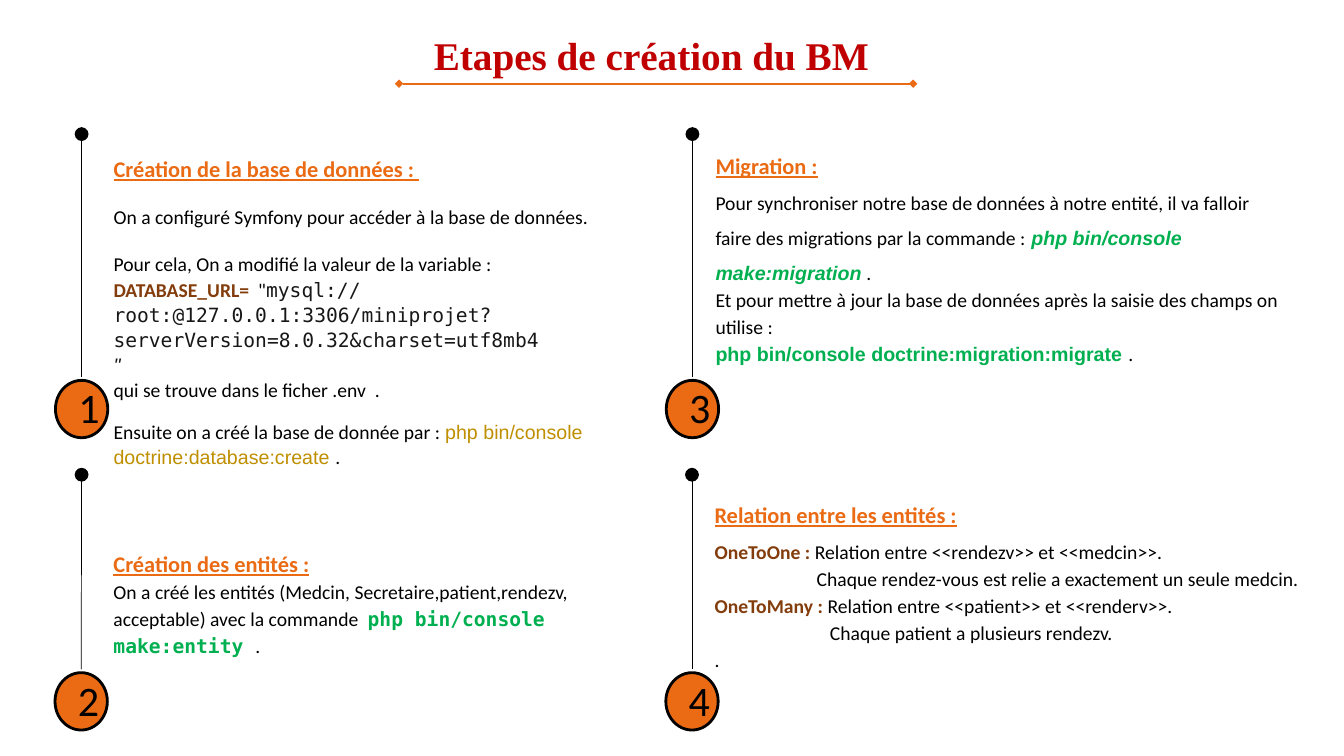
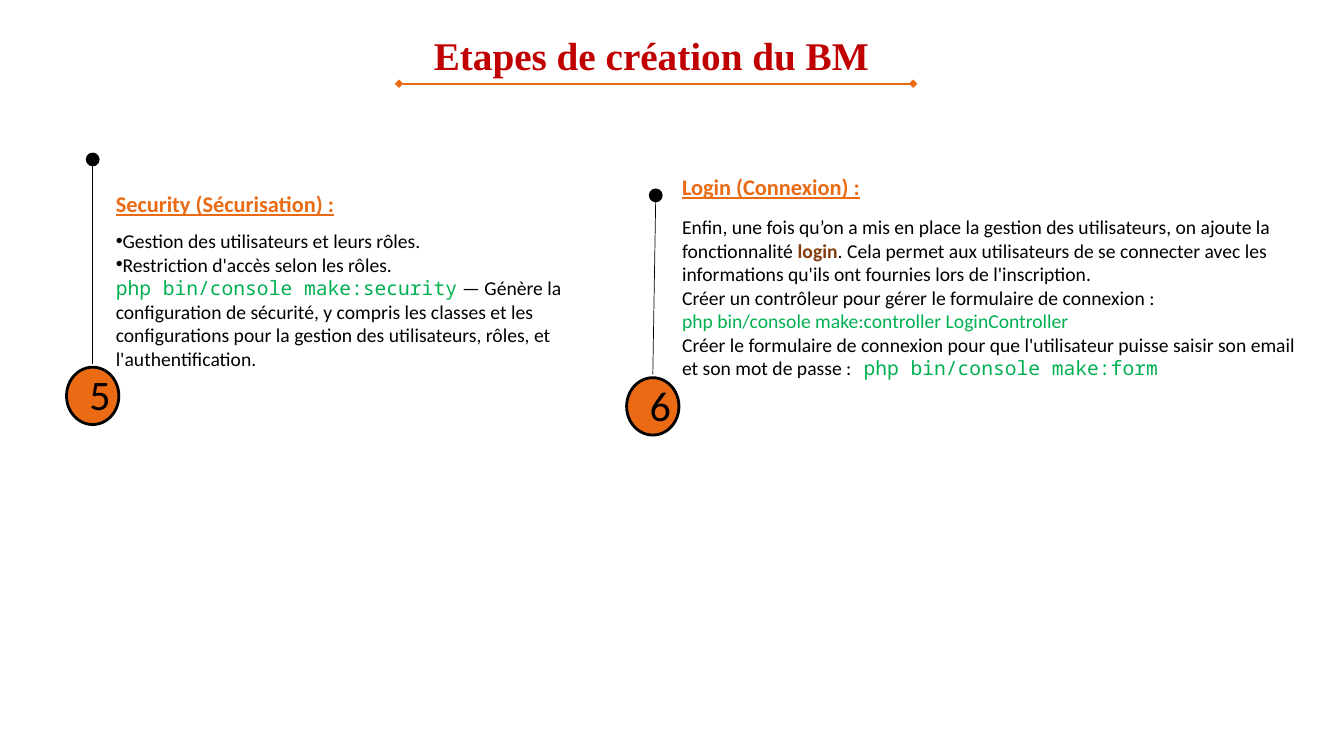
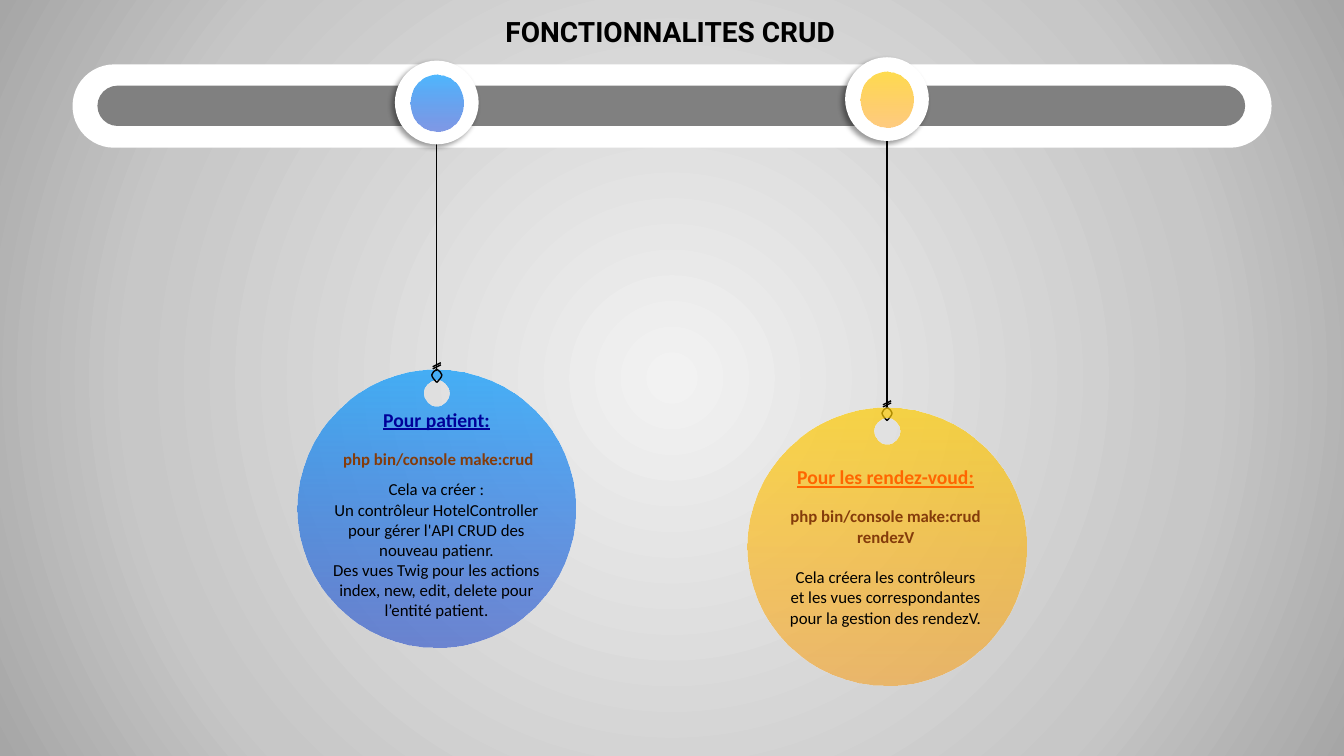
import lxml.etree
import pptx
import pptx.dml.color
import pptx.enum.shapes
import pptx.enum.text
import pptx.oxml.ns
import pptx.util

Pt = pptx.util.Pt
qn = pptx.oxml.ns.qn
SHAPE = pptx.enum.shapes.MSO_SHAPE
CENTER = pptx.enum.text.PP_ALIGN.CENTER

NBSP = chr(160)
ORANGE, BLACK, WHITE = "EA6B14", "000000", "FFFFFF"
BROWN, GREEN, GOLD = "833C0B", "00B050", "BF8F00"
BLUE_FADE = [(0, "0099FF", 70), (100, "0033CC", 50)]
YELLOW_FADE = [(0, "FFCC00", 70), (100, "FF9900", 50)]
GREY_FADE = [(0, "F2F2F2", 100), (70, "C7C7C7", 100), (100, "A6A6A6", 100)]


def style(size, color=BLACK, font="Calibri", bold=False, italic=False, underline=False):
    return dict(size=size, color=color, font=font, bold=bold, italic=italic, underline=underline)


HEADING = style(16, ORANGE, bold=True, underline=True)
BODY = style(14)
KEYWORD = style(14, BROWN, bold=True)
COMMAND = style(14, GREEN, "Arial", bold=True)
CODE = style(14, GREEN, "Noto Sans Mono")
NUMBER = style(30)
TAG_BODY = style(12)
TAG_COMMAND = style(12, "843C0B", bold=True)


def para(*runs, spacing=1.0, before=0, indent=0, bullet=None, align=None):
    return dict(runs=runs, spacing=spacing, before=before, indent=indent, bullet=bullet, align=align)


def heading(text, spacing=1.5):
    return para((f"{text}{NBSP}:", HEADING), spacing=spacing)


def centered(text, look, before=0):
    return para((text, look), before=before, align=CENTER)


def rgb(hex_color):
    return pptx.dml.color.RGBColor.from_string(hex_color)


def child(parent, tag, **attributes):
    return lxml.etree.SubElement(parent, qn(tag), {k: str(v) for k, v in attributes.items()})


def add_color(parent, hex_color, alpha):
    child(child(parent, "a:srgbClr", val=hex_color), "a:alpha", val=alpha * 1000)


def add_text(slide, left, top, width, height, paragraphs):
    frame = slide.shapes.add_textbox(Pt(left), Pt(top), Pt(width), Pt(height)).text_frame
    frame.word_wrap = True
    for index, content in enumerate(paragraphs):
        paragraph = frame.add_paragraph() if index else frame.paragraphs[0]
        paragraph.line_spacing = content["spacing"]
        paragraph.space_before = Pt(content["before"])
        paragraph.alignment = content["align"]
        properties = paragraph._p.get_or_add_pPr()
        properties.set("marL", str(Pt(content["indent"])))
        properties.set("indent", "0")
        if content["bullet"]:
            child(properties, "a:buFont", typeface="Arial")
            child(properties, "a:buChar", char=content["bullet"])
        for text, look in content["runs"]:
            run = paragraph.add_run()
            run.text = text
            run.font.name = look["font"]
            run.font.size = Pt(look["size"])
            run.font.bold = look["bold"]
            run.font.italic = look["italic"]
            run.font.underline = look["underline"]
            run.font.color.rgb = rgb(look["color"])


def add_line(slide, start, end, color, width, head=None, tail=None, end_size="med"):
    line = slide.shapes.add_connector(
        pptx.enum.shapes.MSO_CONNECTOR.STRAIGHT, *(Pt(v) for v in (*start, *end)))
    line.line.color.rgb = rgb(color)
    line.line.width = Pt(width)
    for tag_name, kind in (("a:headEnd", head), ("a:tailEnd", tail)):
        if kind:
            child(line.line._get_or_add_ln(), tag_name, type=kind, w=end_size, len=end_size)
    child(line.element.spPr, "a:effectLst")


def add_preset(slide, kind, left, top, width, height, fill=None, outline=None, outline_width=0):
    shape = slide.shapes.add_shape(kind, Pt(left), Pt(top), Pt(width), Pt(height))
    shape.shadow.inherit = False
    if fill:
        shape.fill.solid()
        shape.fill.fore_color.rgb = rgb(fill)
    if outline:
        shape.line.color.rgb = rgb(outline)
        shape.line.width = Pt(outline_width)
    else:
        shape.line.fill.background()
    return shape


def add_curves(slide, outlines, close):
    builder = None
    for outline in outlines:
        start, *controls = [(Pt(x), Pt(y)) for x, y in outline]
        if builder is None:
            builder = slide.shapes.build_freeform(*start, scale=1.0)
        else:
            builder.move_to(*start)
        builder.add_line_segments(controls, close=close)
    shape = builder.convert_to_shape()
    shape.shadow.inherit = False
    segments = list(shape.element.iter(qn("a:lnTo")))
    for first, second, third in zip(segments[::3], segments[1::3], segments[2::3]):
        curve = lxml.etree.Element(qn("a:cubicBezTo"))
        first.getparent().replace(first, curve)
        for segment in (first, second, third):
            curve.append(segment[0])
        for segment in (second, third):
            segment.getparent().remove(segment)
    return shape


def set_gradient(owner, fill, stops, radial=False):
    fill.gradient()
    gradient = owner.element.find(".//" + qn("a:gradFill"))
    for part in list(gradient):
        gradient.remove(part)
    stop_list = child(gradient, "a:gsLst")
    for position, color, alpha in stops:
        add_color(child(stop_list, "a:gs", pos=position * 1000), color, alpha)
    if radial:
        center = child(gradient, "a:path", path="circle")
        child(center, "a:fillToRect", l=50000, t=50000, r=50000, b=50000)
    else:
        child(gradient, "a:lin", ang=5400000, scaled=0)


def ring(center_x, center_y, radius, direction):
    k = 0.55
    quarters = [(0, -1), (k, -1), (1, -k), (1, 0), (1, k), (k, 1), (0, 1),
                (-k, 1), (-1, k), (-1, 0), (-1, -k), (-k, -1), (0, -1)]
    return [(center_x + direction * radius * x, center_y + radius * y) for x, y in quarters]


def step_title(slide):
    title = style(28, "C00000", "Times New Roman", bold=True)
    add_text(slide, 215.3, 18.7, 506.9, 41, [centered("Etapes de création du BM ", title)])
    add_line(slide, (285.1, 59.8), (652.3, 59.8), ORANGE, 1.5, "diamond", "diamond")


def step(slide, number, left, top, length, text_box, paragraphs, lean=0):
    dx, dy, width, height = text_box
    add_text(slide, left + dx, top + dy, width, height, paragraphs)
    foot_x, foot_y = left + lean, top + length
    add_line(slide, (left, top), (foot_x, foot_y), BLACK, 0.5, head="oval", end_size="lg")
    add_preset(slide, SHAPE.OVAL, foot_x - 18.7, foot_y + 2.4, 37.4, 41, ORANGE, BLACK, 2)
    add_text(slide, foot_x - 9.4, foot_y, 18.7, 43.9, [centered(str(number), NUMBER)])


def tag(slide, center_x, top, fade, text_box, paragraphs):
    dx, dy, width, height = text_box
    radius = 99.3
    disc = add_curves(slide, [ring(center_x, top + 17, 9.3, -1),
                              ring(center_x, top + radius, radius, 1)], close=True)
    disc.line.fill.background()
    set_gradient(disc, disc.fill, fade)
    add_text(slide, center_x + dx, top + dy, width, height, paragraphs)


def cord(slide, center_x, knob_top, tag_top, fade):
    bend = [(0, 0), (1.5, 1.3), (3.6, 2.2), (3.6, 4), (3.6, 5.6), (1.8, 7.4), (0, 9.4)]
    for side in (-1, 1):
        loop = add_curves(slide, [[(center_x + side * x, tag_top - 0.4 + y) for x, y in bend]],
                          close=False)
        loop.fill.background()
        loop.line.color.rgb = rgb(BLACK)
        loop.line.width = Pt(1)
    for rise in (0.7, 2.2):
        add_line(slide, (center_x - 2.9, tag_top - rise), (center_x + 2.9, tag_top - rise - 2.9), BLACK, 1)
    add_line(slide, (center_x, knob_top + 59.8), (center_x, tag_top + 0.5), BLACK, 1)
    knob = add_preset(slide, SHAPE.OVAL, center_x - 29.9, knob_top, 59.8, 59.8, WHITE)
    shadow = child(knob.element.spPr.find(qn("a:effectLst")), "a:outerShdw", blurRad=Pt(4),
                   dist=Pt(3), dir=135 * 60000, algn="tr", rotWithShape=0)
    add_color(shadow, BLACK, 40)
    core = add_preset(slide, SHAPE.OVAL, center_x - 18.7, knob_top + 10.1, 37.4, 40.3)
    set_gradient(core, core.fill, fade)


def crud_rail(slide):
    set_gradient(slide, slide.background.fill, GREY_FADE, radial=True)
    for box, color in (((51.8, 46, 856.5, 59.5), WHITE), ((69.6, 61.2, 819.8, 28.8), "808080")):
        add_preset(slide, SHAPE.ROUNDED_RECTANGLE, *box, color).adjustments[0] = 0.5
    add_text(slide, 249.8, 6.5, 457.9, 31.7,
             [centered("FONCTIONNALITES CRUD", style(20, font="Roboto", bold=True))])


def first_steps(slide):
    step_title(slide)
    step(slide, 1, 58.3, 95.8, 173.5, (15.7, 1.7, 368.6, 224.6), [
        para((f"Création de la base de données{NBSP}: ", HEADING), spacing=1.5),
        para(("On a configuré Symfony pour accéder à la base de données. "
              f"Pour cela, On a modifié la valeur de la variable{NBSP}:", BODY), spacing=2.0),
        para(("DATABASE_URL=", KEYWORD), (f"{NBSP}{NBSP}\"", BODY),
             ("mysql://root:@127.0.0.1:3306/miniprojet?serverVersion=8.0.32&charset=utf8mb4",
              style(14, "181717", "DejaVu Sans Mono")), spacing=1.07),
        para(("\"", style(14, "181717", "Arial", italic=True)), spacing=1.07),
        para(("qui se trouve dans le ficher .env  .", BODY), spacing=1.07),
        para((f"Ensuite on a créé la base de donnée par{NBSP}: ", BODY),
             ("php bin/console doctrine:database:create ", style(14, GOLD, "Arial")),
             (".", BODY), spacing=1.07, before=12),
    ])
    step(slide, 2, 58.3, 339.1, 139, (15.7, 40.6, 355, 94.3), [
        heading("Création des entités"),
        para(("On a créé les entités (Medcin, Secretaire,patient,rendezv, acceptable) "
              "avec la commande  ", BODY),
             (f"php bin/console make:entity{NBSP}", style(14, GREEN, "DejaVu Sans Mono", bold=True)),
             (".", BODY), spacing=1.15),
    ], lean=-0.3)
    step(slide, 3, 494.6, 95.8, 173.5, (9.4, -0.3, 421.2, 172.1), [
        heading("Migration"),
        para(("Pour synchroniser notre base de données à notre entité, il va falloir "
              "faire des migrations par la commande :", BODY),
             (" php bin/console make:migration", style(14, GREEN, "Arial", bold=True, italic=True)),
             (" .", BODY), spacing=1.5),
        para(("Et pour mettre à jour la base de données après la saisie des champs "
              "on utilise :", BODY), spacing=1.15),
        para(("php bin/console doctrine:migration:migrate ", COMMAND), (".", BODY), spacing=1.15),
    ])
    step(slide, 4, 494.3, 339.1, 139, (9, 5.8, 447.8, 139), [
        heading("Relation entre les entités"),
        para((f"OneToOne{NBSP}: ", KEYWORD), ("Relation entre <<rendezv>> et <<medcin>>.", BODY),
             spacing=1.5),
        para(("Chaque rendez-vous est relie a exactement un seule medcin.", BODY),
             spacing=1.15, indent=73),
        para((f"OneToMany{NBSP}: ", KEYWORD), ("Relation entre <<patient>> et <<renderv>>.", BODY),
             spacing=1.15),
        para(("Chaque patient a plusieurs rendezv.", BODY), spacing=1.15, indent=82.4),
        para((".", BODY), spacing=1.15),
    ])


def last_steps(slide):
    step_title(slide)
    step(slide, 5, 66.2, 113.9, 146, (9.4, 8.9, 365.8, 129.6), [
        heading("Security (Sécurisation)"),
        para(("Gestion des utilisateurs et leurs rôles.", BODY), spacing=1.5, bullet="•"),
        para(("Restriction d'accès selon les rôles.", BODY), bullet="•"),
        para(("php bin/console make:security", CODE),
             (" — Génère la configuration de sécurité, y compris les classes et les configurations "
              "pour la gestion des utilisateurs, rôles, et l'authentification.", BODY)),
    ])
    step(slide, 6, 468.4, 139.6, 127.8, (11.7, -19.6, 466.6, 156.2), [
        heading("Login (Connexion)", spacing=1.0),
        para(("Enfin, une fois qu’on a mis en place la gestion des utilisateurs, on ajoute la "
              "fonctionnalité ", BODY), ("login", KEYWORD),
             (". Cela permet aux utilisateurs de se connecter avec les informations qu'ils ont "
              "fournies lors de l'inscription.", BODY), before=10.8),
        para((f"Créer un contrôleur pour gérer le formulaire de connexion{NBSP}:", BODY)),
        para(("php bin/console make:controller LoginController", style(14, GREEN))),
        para(("Créer le formulaire de connexion pour que l'utilisateur puisse saisir son email "
              f"et son mot de passe{NBSP}:", BODY), (" php bin/console make:form", CODE)),
    ], lean=-2.1)


def crud(slide):
    crud_rail(slide)
    tag(slide, 312, 264.2, BLUE_FADE, (-84.4, 23.5, 168.5, 160.6), [
        centered(f"Pour patient:", style(14, "000099", bold=True, underline=True)),
        centered(" php bin/console make:crud", TAG_COMMAND, before=12.6),
        centered("Cela va créer :", TAG_BODY, before=7.2),
        centered("Un contrôleur HotelController pour gérer l'API CRUD des nouveau patienr.", TAG_BODY),
        centered("Des vues Twig pour les actions index, new, edit, delete pour l’entité patient.",
                 TAG_BODY),
    ])
    cord(slide, 312, 43.3, 264.2, BLUE_FADE)
    cord(slide, 633.6, 40.9, 291.4, YELLOW_FADE)
    tag(slide, 633.6, 291.4, YELLOW_FADE, (-78, 37.2, 154.1, 124.6), [
        centered("Pour les rendez-voud:", style(14, "FF6600", bold=True, underline=True)),
        centered("php bin/console make:crud rendezV", TAG_COMMAND, before=12.6),
        centered("Cela créera les contrôleurs et les vues correspondantes pour la gestion des rendezV.",
                 TAG_BODY, before=14.6),
    ])


def main():
    deck = pptx.Presentation()
    deck.slide_width, deck.slide_height = Pt(960), Pt(540)
    for build in (first_steps, last_steps, crud):
        build(deck.slides.add_slide(deck.slide_layouts[6]))
    deck.save("out.pptx")


if __name__ == "__main__":
    main()
